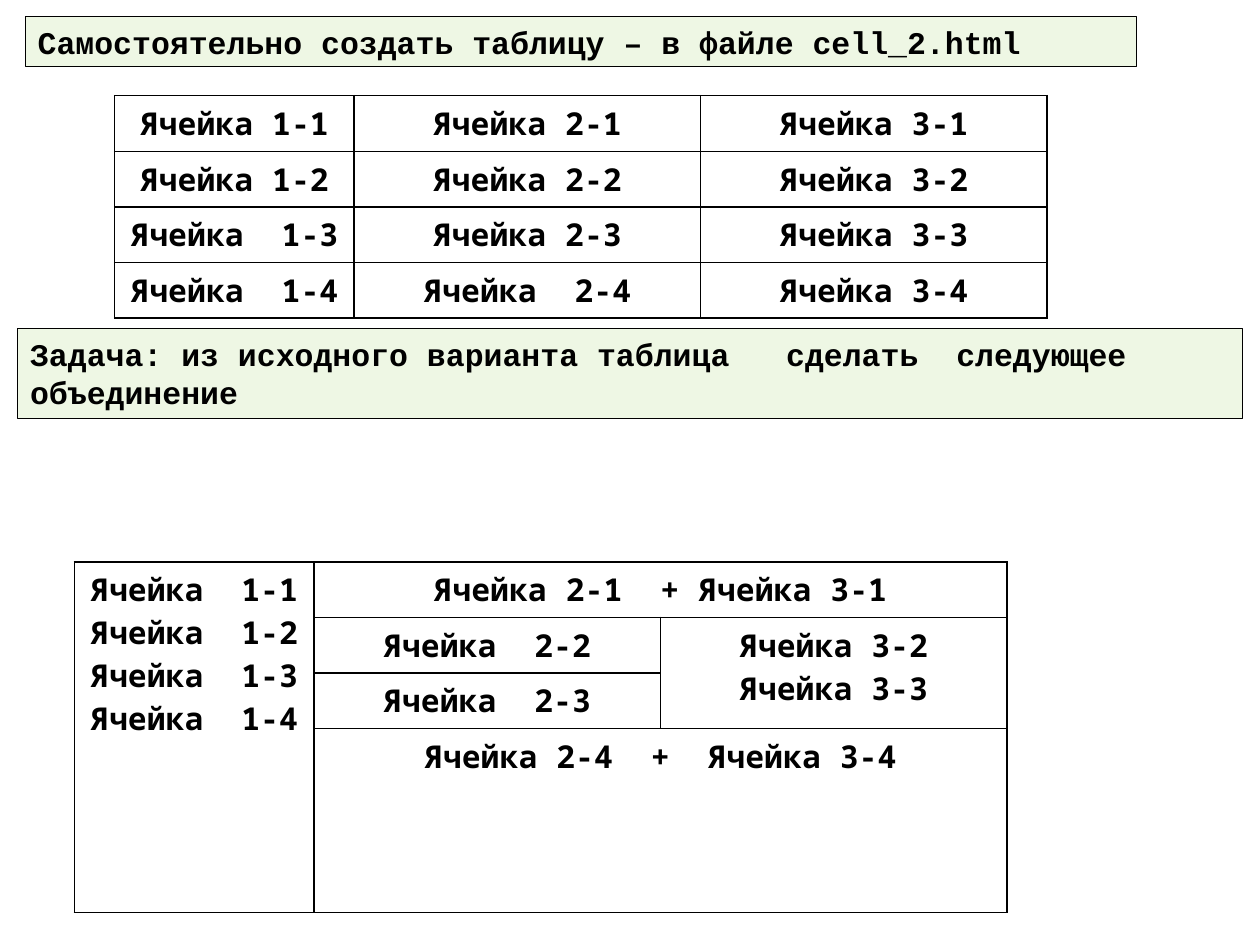
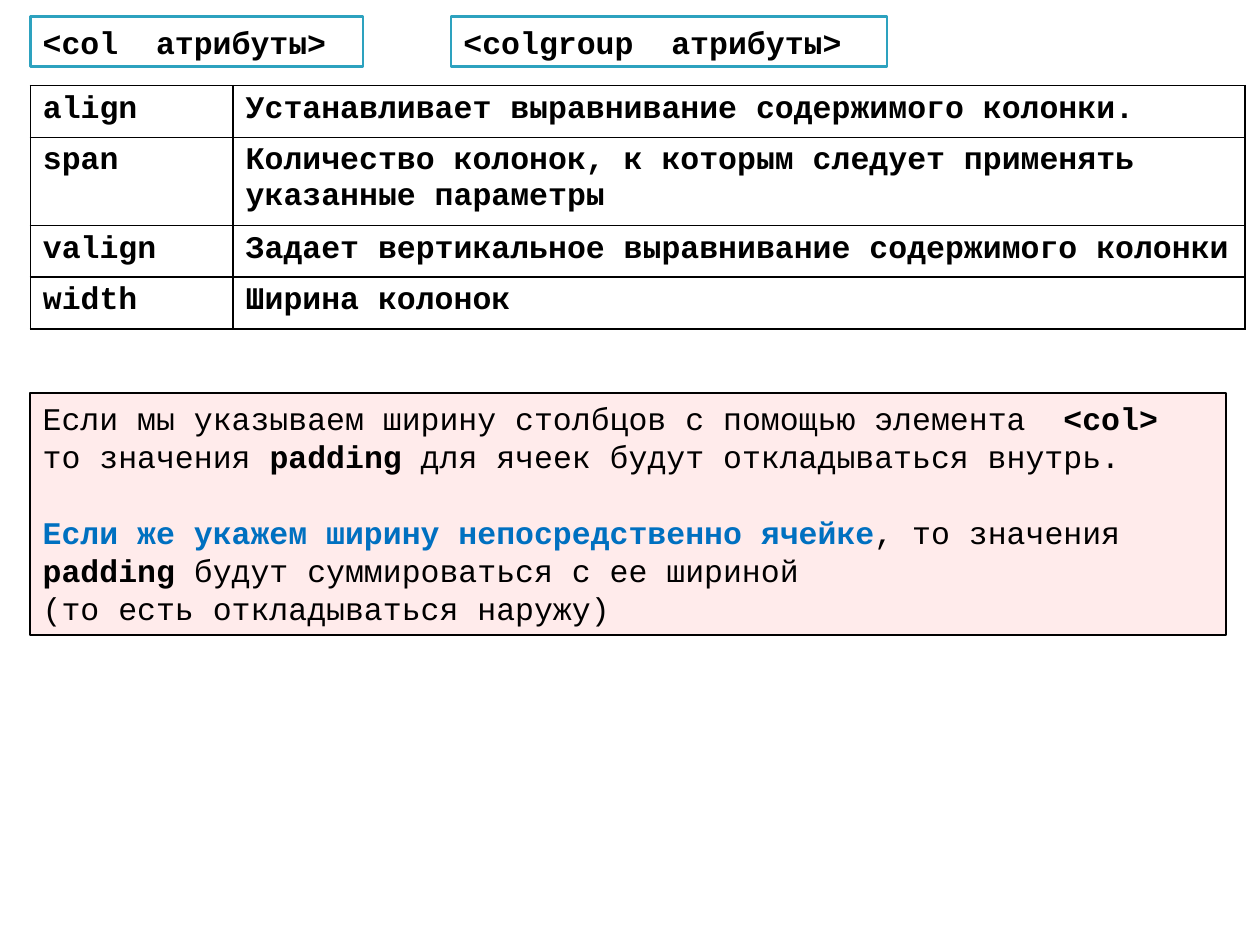
from dataclasses import dataclass
from typing import NamedTuple

from lxml.etree import SubElement
from pptx import Presentation
from pptx.dml.color import RGBColor
from pptx.enum.text import MSO_AUTO_SIZE, PP_ALIGN
from pptx.oxml.ns import qn
from pptx.util import Inches, Pt

COLORS = {
    "text": "000000",
    "border": "000000",
    "task": "92D050",
    "tag": "FFFFFF",
    "tag_line": "2DA2BF",
    "note": "FF0000",
    "accent": "0070C0",
}
CODE_FONT = "Courier New"
CELL_FONT = "Noto Sans Mono"
TEXT_SIZE = Pt(18)
BLANK_LINE = Pt(22)


class Span(NamedTuple):
    text: str
    bold: bool = True
    color: str = "text"


class Line(NamedTuple):
    spans: list[Span]
    gap_before: bool = False


class Merge(NamedTuple):
    first: tuple[int, int]
    last: tuple[int, int]


@dataclass
class Panel:
    left: float
    top: float
    width: float
    height: float
    lines: list[Line]
    fill: str
    line: str = "border"
    line_width: float = 0.75
    opacity: int = 100  # percent


@dataclass
class Grid:
    left: float
    top: float
    columns: list[float]
    rows: list[float]
    texts: list[list[str]]
    font: str = CELL_FONT
    align: PP_ALIGN = PP_ALIGN.CENTER
    merges: tuple[Merge, ...] = ()


def rgb(key: str) -> RGBColor:
    return RGBColor.from_string(COLORS[key])


def style_paragraph(paragraph, font_name: str, align: PP_ALIGN) -> None:
    paragraph.alignment = align
    paragraph.font.name = font_name
    paragraph.font.size = TEXT_SIZE


def draw_panel(slide, panel: Panel) -> None:
    box = slide.shapes.add_textbox(Inches(panel.left), Inches(panel.top),
                                   Inches(panel.width), Inches(panel.height))
    box.fill.solid()
    box.fill.fore_color.rgb = rgb(panel.fill)
    if panel.opacity < 100:
        color = box._element.spPr.find(qn("a:solidFill"))[0]
        SubElement(color, qn("a:alpha"), val=str(panel.opacity * 1000))
    box.line.color.rgb = rgb(panel.line)
    box.line.width = Pt(panel.line_width)

    frame = box.text_frame
    frame.word_wrap = True
    frame.auto_size = MSO_AUTO_SIZE.SHAPE_TO_FIT_TEXT
    for index, line in enumerate(panel.lines):
        paragraph = frame.add_paragraph() if index else frame.paragraphs[0]
        style_paragraph(paragraph, CODE_FONT, PP_ALIGN.LEFT)
        if line.gap_before:
            paragraph.space_before = BLANK_LINE
        for span in line.spans:
            run = paragraph.add_run()
            run.text = span.text
            run.font.bold = span.bold
            run.font.color.rgb = rgb(span.color)


def add_borders(cell) -> None:
    properties = cell._tc.get_or_add_tcPr()
    for position, side in enumerate(("lnL", "lnR", "lnT", "lnB")):
        border = properties.makeelement(qn(f"a:{side}"), {"w": str(Pt(1))})
        fill = SubElement(border, qn("a:solidFill"))
        SubElement(fill, qn("a:srgbClr"), val=COLORS["border"])
        properties.insert(position, border)


def draw_grid(slide, grid: Grid) -> None:
    table = slide.shapes.add_table(
        len(grid.rows), len(grid.columns), Inches(grid.left), Inches(grid.top),
        Inches(sum(grid.columns)), Inches(sum(grid.rows))).table
    table.first_row = table.horz_banding = False
    for column, width in zip(table.columns, grid.columns):
        column.width = Inches(width)
    for row, height in zip(table.rows, grid.rows):
        row.height = Inches(height)
    for merge in grid.merges:
        table.cell(*merge.first).merge(table.cell(*merge.last))
    for r, texts in enumerate(grid.texts):
        for c, text in enumerate(texts):
            cell = table.cell(r, c)
            cell.fill.background()
            add_borders(cell)
            cell.text = text
            for paragraph in cell.text_frame.paragraphs:
                style_paragraph(paragraph, grid.font, grid.align)
                paragraph.font.bold = True
                paragraph.font.color.rgb = rgb("text")


def task_panel(left: float, top: float, width: float, height: float, text: str) -> Panel:
    return Panel(left, top, width, height, [Line([Span(text)])], "task", opacity=15)


def tag_panel(left: float, width: float, text: str) -> Panel:
    return Panel(left, 0.13, width, 0.4, [Line([Span(text)])], "tag", "tag_line", 1.5)


# Slide 1: merging table cells
CELL_COLUMNS = [1.9, 2.75, 2.75]
ROW = 0.41

source_grid = Grid(0.91, 0.76, CELL_COLUMNS, [ROW] * 4, [
    ["Ячейка 1-1", "Ячейка 2-1", "Ячейка 3-1"],
    ["Ячейка 1-2", "Ячейка 2-2", "Ячейка 3-2"],
    ["Ячейка  1-3", "Ячейка 2-3", "Ячейка 3-3"],
    ["Ячейка  1-4", "Ячейка  2-4", "Ячейка 3-4"],
])
merged_grid = Grid(0.59, 4.46, CELL_COLUMNS, [ROW] * 4, [
    ["Ячейка  1-1\nЯчейка  1-2\nЯчейка  1-3\nЯчейка  1-4", "Ячейка 2-1  + Ячейка 3-1", ""],
    ["", "Ячейка  2-2", "Ячейка 3-2\nЯчейка 3-3"],
    ["", "Ячейка  2-3", ""],
    ["", "Ячейка 2-4  +  Ячейка 3-4", ""],
], merges=(Merge((0, 0), (3, 0)), Merge((0, 1), (0, 2)),
           Merge((1, 2), (2, 2)), Merge((3, 1), (3, 2))))
tasks = [
    task_panel(0.14, 2.61, 9.72, 0.71,
               "Задача: из исходного варианта таблица   сделать  следующее объединение"),
    task_panel(0.2, 0.13, 8.82, 0.4,
               "Самостоятельно создать таблицу – в файле cell_2.html"),
]

# Slide 2: column attributes
attribute_grid = Grid(0.24, 0.68, [1.61, 8.03], [ROW, 0.7, ROW, ROW], [
    ["align", "Устанавливает выравнивание содержимого колонки."],
    ["span", "Количество колонок, к которым следует применять указанные параметры"],
    ["valign", "Задает вертикальное выравнивание содержимого колонки"],
    ["width", "Ширина колонок"],
], CODE_FONT, PP_ALIGN.LEFT)
padding_note = Panel(0.24, 3.12, 9.49, 1.92, [
    Line([Span("Если мы указываем ширину столбцов с помощью элемента  ", False),
          Span("<col>")]),
    Line([Span("то значения ", False), Span("padding"),
          Span(" для ячеек будут откладываться внутрь.", False)]),
    Line([Span("Если же укажем ширину непосредственно ячейке", color="accent"),
          Span(", то значения ", False), Span("padding"),
          Span(" будут суммироваться с ее шириной", False)], gap_before=True),
    Line([Span("(то есть откладываться наружу)", False)]),
], "note", line_width=1, opacity=8)
tags = [tag_panel(0.24, 2.64, "<col  атрибуты>"),
        tag_panel(3.58, 3.46, "<colgroup  атрибуты>")]


def main() -> None:
    deck = Presentation()
    deck.slide_width, deck.slide_height = Inches(10), Inches(7.5)
    for grids, panels in (([source_grid, merged_grid], tasks),
                          ([attribute_grid], [*tags, padding_note])):
        slide = deck.slides.add_slide(deck.slide_layouts[6])
        for grid in grids:
            draw_grid(slide, grid)
        for panel in panels:
            draw_panel(slide, panel)
    deck.save("out.pptx")


if __name__ == "__main__":
    main()
